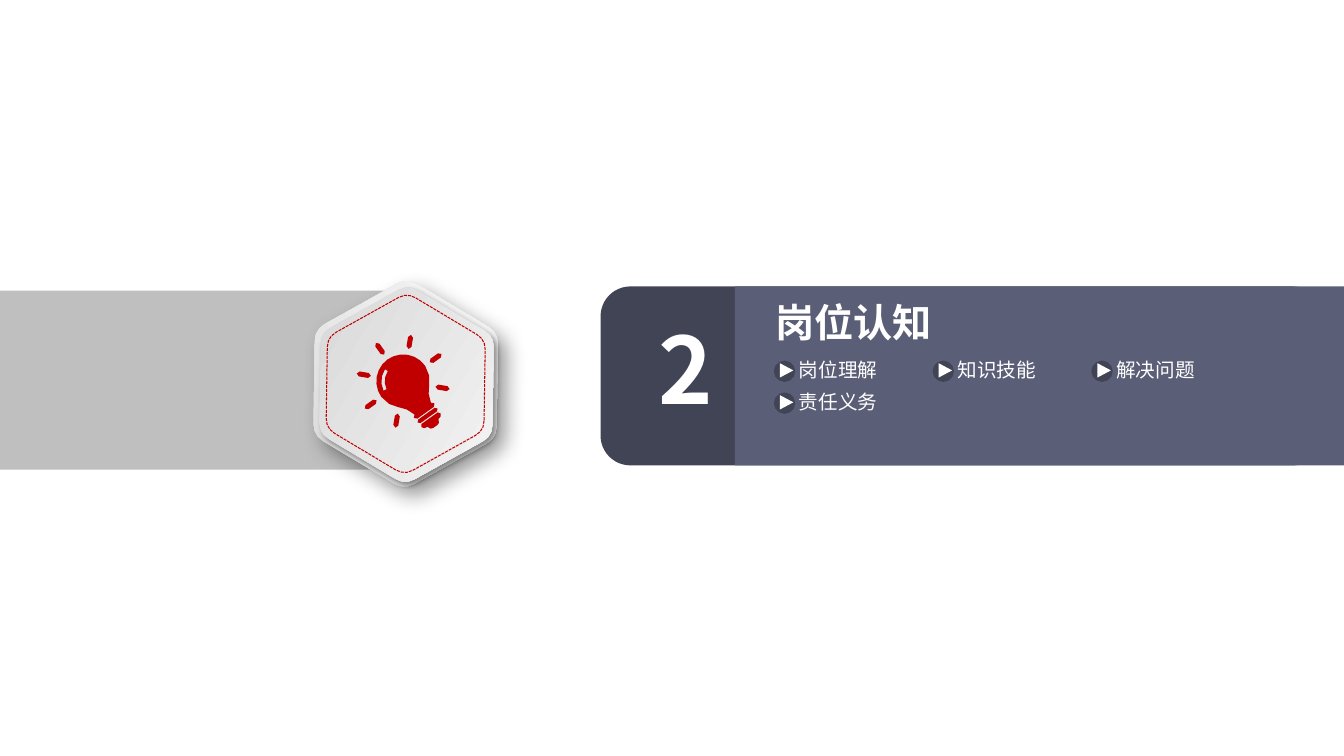
from dataclasses import dataclass
from math import cos, radians, sin

from lxml import etree
from pptx import Presentation
from pptx import util as u
from pptx.dml.color import RGBColor
from pptx.enum import dml, shapes, text
from pptx.oxml.ns import qn


@dataclass(frozen=True)
class Theme:
    font: str = "Noto Sans CJK SC"
    grey: str = "BFBFBF"
    shade: str = "D3D3D3"
    light: str = "F9F9F9"
    red: str = "C00000"
    dark: str = "414455"
    slate: str = "5B5E77"
    white: str = "FFFFFF"
    number_size: int = 66
    title_size: int = 28
    topic_size: int = 14


THEME = Theme()
COLUMNS, ROWS = 16, 9
WIDTH, HEIGHT = u.Inches(13.34), u.Inches(7.5)
BAND_ROWS = 2.13
TOPICS = ["岗位理解", "知识技能", "解决问题", "责任义务"]


def cols(count):
    return round(count * WIDTH / COLUMNS)


def rows(count):
    return round(count * HEIGHT / ROWS)


def place(left, top, width, height):
    return cols(left), rows(top), cols(width), rows(height)


def paint(shape, color):
    shape.shadow.inherit = False
    shape.fill.solid()
    shape.fill.fore_color.rgb = RGBColor.from_string(color)
    shape.line.fill.background()


def add_block(parent, kind, box, color):
    block = parent.add_shape(kind, *place(*box))
    paint(block, color)
    return block


def add_label(parent, wording, box, size, bold=False, align=text.PP_ALIGN.LEFT):
    frame = parent.add_textbox(*place(*box)).text_frame
    frame.word_wrap = True
    frame.vertical_anchor = text.MSO_ANCHOR.MIDDLE
    frame.margin_left = frame.margin_right = frame.margin_top = frame.margin_bottom = 0
    line = frame.paragraphs[0]
    line.text = wording
    line.alignment = align
    line.font.size = u.Pt(size)
    line.font.bold = bold
    line.font.color.rgb = RGBColor.from_string(THEME.white)
    line.font.name = THEME.font
    defaults = line._p.pPr.find(qn("a:defRPr"))
    etree.SubElement(defaults, qn("a:ea"), typeface=THEME.font)


def add_outline(parent, contours, center, rotation):
    scaled = [[(cols(x), rows(y)) for x, y in contour] for contour in contours]
    builder = parent.build_freeform(*scaled[0][0])
    builder.add_line_segments(scaled[0][1:])
    for contour in scaled[1:]:
        builder.move_to(*contour[0])
        builder.add_line_segments(contour[1:])
    outline = builder.convert_to_shape()
    outline.left = cols(center[0]) - outline.width // 2
    outline.top = rows(center[1]) - outline.height // 2
    outline.rotation = rotation
    outline.shadow.inherit = False
    return outline


def polar(radius, angle):
    return radius * cos(radians(angle)), radius * sin(radians(angle))


def arc(radius, start, end, steps):
    return [polar(radius, start + (end - start) * i / steps) for i in range(steps + 1)]


def bezier(points, steps):
    curve = []
    for i in range(steps + 1):
        t = i / steps
        weights = ((1 - t) ** 3, 3 * t * (1 - t) ** 2, 3 * t * t * (1 - t), t ** 3)
        curve.append(tuple(sum(w * p[k] for w, p in zip(weights, points)) for k in (0, 1)))
    return curve


def rounded_hexagon(apothem, cut=0.11):
    corners = [polar(apothem / cos(radians(30)), 60 * i) for i in range(6)]
    contour = []
    for i, corner in enumerate(corners):
        neighbours = corners[i - 1], corners[(i + 1) % 6]
        start, end = [tuple(c + (n - c) * cut for c, n in zip(corner, other))
                      for other in neighbours]
        controls = [tuple(p + (c - p) * 2 / 3 for p, c in zip(tip, corner)) for tip in (start, end)]
        contour += bezier((start, *controls, end), 3)
    return contour


def capsule(start, end, thickness, angle):
    contour = []
    for (x, y), turn in ((end, angle - 90), (start, angle + 90)):
        contour += [(x + dx, y + dy) for dx, dy in arc(thickness / 2, turn, turn + 180, 2)]
    return contour


def add_bulb(parent, center):
    rays = [capsule(polar(0.42, a), polar(0.53, a), 0.06, a) for a in range(-225, 46, 45)]
    left_side = bezier(((-0.12, 0.4), (-0.14, 0.24), (-0.32, 0.2), (-0.32, 0)), 4)
    right_side = [(-x, y) for x, y in reversed(left_side)]
    glass = left_side + arc(0.32, 180, 360, 12)[1:-1] + right_side
    glint = arc(0.26, 190, 249, 3) + arc(0.22, 249, 190, 3)
    collars = [capsule((-0.12, y), (0.12, y), h, 0) for y, h in ((0.43, 0.06), (0.5, 0.05))]
    half = [(0.12, 0.54), (0.14, 0.57), (0.12, 0.6), (0.08, 0.61), (0.06, 0.65), (0.03, 0.66)]
    base = half + [(-x, y) for x, y in reversed(half)]
    paint(add_outline(parent, [*rays, *collars, glass, glint, base], center, -35.5), THEME.red)


def add_plate(parent, apothem, center, angle, blur, distance):
    plate = add_outline(parent, [rounded_hexagon(apothem)], center, 30.9)
    plate.fill.gradient()
    plate.fill.gradient_angle = angle
    for stop, color in zip(plate.fill.gradient_stops, (THEME.shade, THEME.light)):
        stop.color.rgb = RGBColor.from_string(color)
    plate.line.fill.background()
    effects = plate._element.spPr.find(qn("a:effectLst"))
    shadow = etree.SubElement(effects, qn("a:outerShdw"), blurRad=str(u.Pt(blur)),
                              dist=str(u.Pt(distance)), dir="2700000", rotWithShape="0")
    black = etree.SubElement(shadow, qn("a:srgbClr"), val="000000")
    etree.SubElement(black, qn("a:alpha"), val="40000")


def add_badge(parent):
    badge = parent.add_group_shape().shapes
    add_plate(badge, 1.09, (4.83, 4.57), 90, 15, 9)
    add_plate(badge, 1.03, (4.84, 4.58), 0, 4, 3)
    stitching = add_outline(badge, [rounded_hexagon(0.94)], (4.83, 4.57), 30.9)
    stitching.fill.background()
    stitching.line.color.rgb = RGBColor.from_string(THEME.red)
    stitching.line.width = u.Pt(0.75)
    stitching.line.dash_style = dml.MSO_LINE.SQUARE_DOT


def add_topic(parent, wording, left, top):
    topic = parent.add_group_shape().shapes
    add_label(topic, wording, (left + 0.28, top - 0.05, 1.61, 0.29), THEME.topic_size)
    disc = add_block(topic, shapes.MSO_SHAPE.OVAL, (left, top, 0.22, 0.22), THEME.dark)
    disc.line.color.rgb = RGBColor.from_string(THEME.dark)
    disc.line.width = u.Pt(2)
    arrow = add_block(topic, shapes.MSO_SHAPE.ISOSCELES_TRIANGLE,
                      (left + 0.05, top + 0.02, 0.17, 0.16), THEME.white)
    arrow.rotation = 90


def main():
    deck = Presentation()
    deck.slide_width, deck.slide_height = WIDTH, HEIGHT
    canvas = deck.slides.add_slide(deck.slide_layouts[6]).shapes
    add_block(canvas, shapes.MSO_SHAPE.RECTANGLE, (0, 3.46, 4.88, BAND_ROWS), THEME.grey)
    add_badge(canvas)
    add_block(canvas, shapes.MSO_SHAPE.ROUNDED_RECTANGLE, (7.15, 3.41, 8.6, BAND_ROWS), THEME.dark)
    add_block(canvas, shapes.MSO_SHAPE.RECTANGLE, (8.75, 3.41, 7.25, BAND_ROWS), THEME.slate)
    add_label(canvas, "2", (7.72, 3.65, 0.89, 1.45), THEME.number_size, True, text.PP_ALIGN.CENTER)
    add_label(canvas, "岗位认知", (9.23, 3.5, 3.5, 0.66), THEME.title_size, True)
    for i, wording in enumerate(TOPICS):
        row, column = divmod(i, 3)
        add_topic(canvas, wording, 9.23 + 1.89 * column, 4.31 + 0.38 * row)
    add_bulb(canvas, (4.83, 4.58))
    deck.save("out.pptx")


if __name__ == "__main__":
    main()
